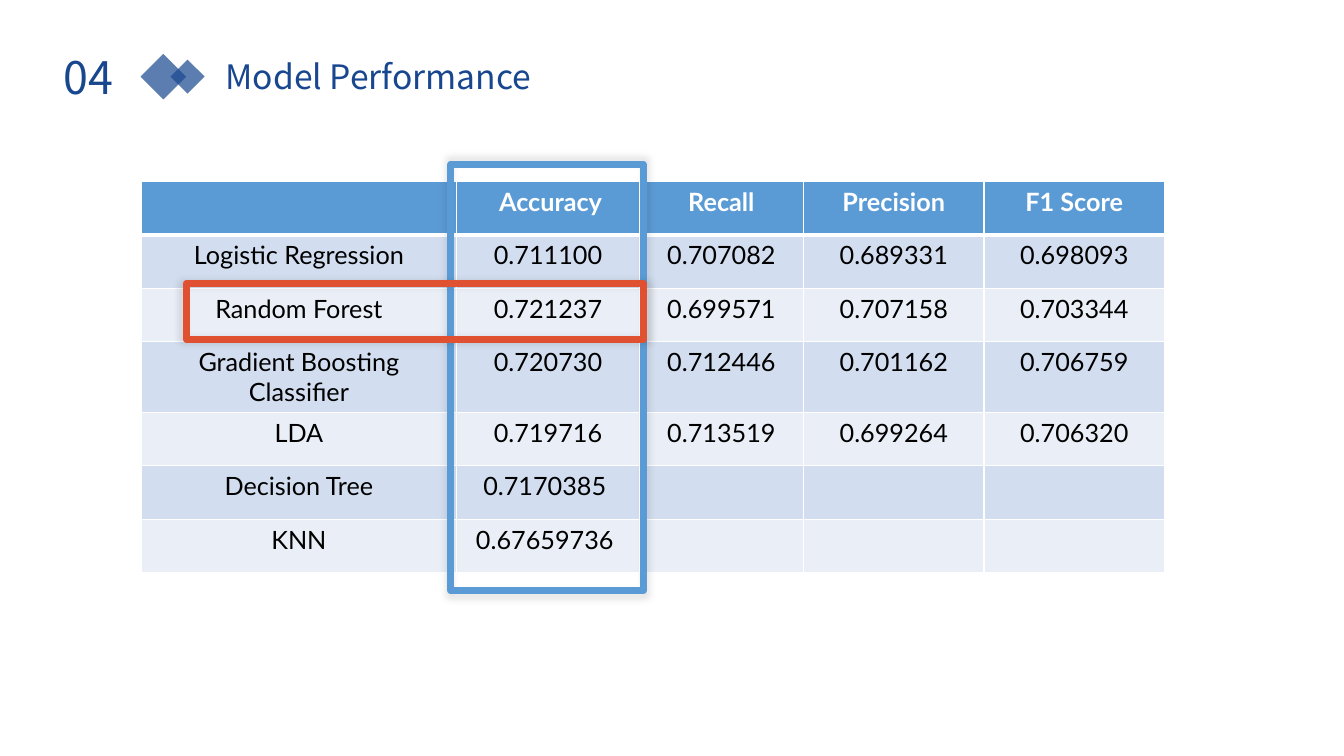
from dataclasses import dataclass

from lxml import etree
from pptx import Presentation
from pptx import util as u
from pptx.dml.color import RGBColor
from pptx.enum import shapes, text
from pptx.oxml import ns

NAVY, BLUE, RED = "18478F", "5B9BD5", "DF5131"
WHITE, BLACK = "FFFFFF", "000000"
BAND_FILLS = ("D2DEEF", "EAEFF7")
TITLE_FONT, TABLE_FONT = "Noto Sans CJK SC", "Lato"


@dataclass
class Area:
    left: float
    top: float
    width: float
    height: float

    def lengths(self) -> tuple:
        return tuple(u.Inches(n) for n in (self.left, self.top, self.width, self.height))


@dataclass
class Heading:
    words: str
    area: Area
    size: int
    wrap: bool


@dataclass
class Frame:
    area: Area
    color: str


HEADINGS = (
    Heading("Model Performance", Area(2.14, 0.51, 3.87, 0.5), 24, True),
    Heading("04", Area(0.53, 0.44, 0.73, 0.64), 32, False),
)
DIAMONDS = (Area(1.46, 0.6, 0.32, 0.32), Area(1.74, 0.64, 0.24, 0.24))
FRAMES = (
    Frame(Area(4.47, 1.63, 1.91, 4.23), BLUE),
    Frame(Area(1.85, 2.81, 4.53, 0.56), RED),
)

TABLE_AREA = Area(1.4, 1.8, 10.15, 3.77)
COLUMN_WIDTHS = (3.13, 1.81, 1.63, 1.79, 1.79)
ROW_HEIGHTS = (0.53, 0.53, 0.53, 0.57, 0.53, 0.53, 0.53)
SCORES = (
    ("", " Accuracy", "Recall", "Precision", "F1 Score"),
    ("Logistic Regression", "0.711100", "0.707082", "0.689331", "0.698093"),
    ("Random Forest", "0.721237", "0.699571", "0.707158", "0.703344"),
    ("Gradient Boosting Classifier", "0.720730", "0.712446", "0.701162", "0.706759"),
    ("LDA", "0.719716", "0.713519", "0.699264", "0.706320"),
    ("Decision Tree", "0.7170385 ", "", "", ""),
    ("KNN", "0.67659736 ", "", "", ""),
)


def rgb(color: str) -> RGBColor:
    return RGBColor.from_string(color)


def add_element(parent, tag: str, **attributes):
    values = {name: str(value) for name, value in attributes.items()}
    return etree.SubElement(parent, ns.qn(tag), values)


def style_font(font, name: str, size: int, color: str, bold: bool = False) -> None:
    font.name = name
    font.size = u.Pt(size)
    font.color.rgb = rgb(color)
    font.bold = bold


def add_diamond(page, area: Area) -> None:
    diamond = page.shapes.add_shape(shapes.MSO_SHAPE.RECTANGLE, *area.lengths())
    diamond.rotation = 225
    diamond.shadow.inherit = False
    diamond.line.fill.background()
    diamond.fill.solid()
    diamond.fill.fore_color.rgb = rgb(NAVY)
    color = diamond._element.spPr.find(".//" + ns.qn("a:srgbClr"))
    add_element(color, "a:alpha", val=70000)


def add_heading(page, heading: Heading) -> None:
    box = page.shapes.add_textbox(*heading.area.lengths())
    box.text_frame.word_wrap = heading.wrap
    box.text_frame.auto_size = text.MSO_AUTO_SIZE.SHAPE_TO_FIT_TEXT
    para = box.text_frame.paragraphs[0]
    para.text = heading.words
    style_font(para.font, TITLE_FONT, heading.size, NAVY)


def add_frame(page, frame: Frame) -> None:
    outline = page.shapes.add_shape(shapes.MSO_SHAPE.RECTANGLE, *frame.area.lengths())
    outline.fill.background()
    outline.line.color.rgb = rgb(frame.color)
    outline.line.width = u.Pt(5)
    # Soft shadow spread evenly around the frame
    outline.shadow.inherit = False
    effects = outline._element.spPr.find(ns.qn("a:effectLst"))
    shadow = add_element(effects, "a:outerShdw", blurRad=u.Pt(5), sx=102000, sy=102000,
                         algn="ctr", rotWithShape=0)
    color = add_element(shadow, "a:srgbClr", val=BLACK)
    add_element(color, "a:alpha", val=11000)


def set_border(cell, side: str, points: int) -> None:
    line = etree.Element(ns.qn(f"a:ln{side}"), {"w": str(u.Pt(points))})
    add_element(add_element(line, "a:solidFill"), "a:srgbClr", val=WHITE)
    # Borders come before the fill in the cell properties
    properties = cell._tc.get_or_add_tcPr()
    fill = properties.find(ns.qn("a:solidFill"))
    fill.addprevious(line)


def add_score_table(page) -> None:
    table = page.shapes.add_table(len(SCORES), len(COLUMN_WIDTHS), *TABLE_AREA.lengths()).table
    for column, width in zip(table.columns, COLUMN_WIDTHS):
        column.width = u.Inches(width)
    for row, height in zip(table.rows, ROW_HEIGHTS):
        row.height = u.Inches(height)
    for r, values in enumerate(SCORES):
        header = r == 0
        for c, value in enumerate(values):
            cell = table.cell(r, c)
            cell.fill.solid()
            cell.fill.fore_color.rgb = rgb(BLUE if header else BAND_FILLS[(r - 1) % 2])
            for side in "LRTB":
                heavy = (header and side == "B") or (r == 1 and side == "T")
                set_border(cell, side, 3 if heavy else 1)
            para = cell.text_frame.paragraphs[0]
            para.text = value
            para.alignment = text.PP_ALIGN.CENTER
            style_font(para.font, TABLE_FONT, 18, WHITE if header else BLACK, header)


def main() -> None:
    deck = Presentation()
    deck.slide_width, deck.slide_height = u.Inches(13.33), u.Inches(7.5)
    page = deck.slides.add_slide(deck.slide_layouts[6])

    # Title row
    for area in DIAMONDS:
        add_diamond(page, area)
    for heading in HEADINGS:
        add_heading(page, heading)

    # Scores with the highlighted column and row
    add_score_table(page)
    for frame in FRAMES:
        add_frame(page, frame)

    deck.save("out.pptx")


if __name__ == "__main__":
    main()
